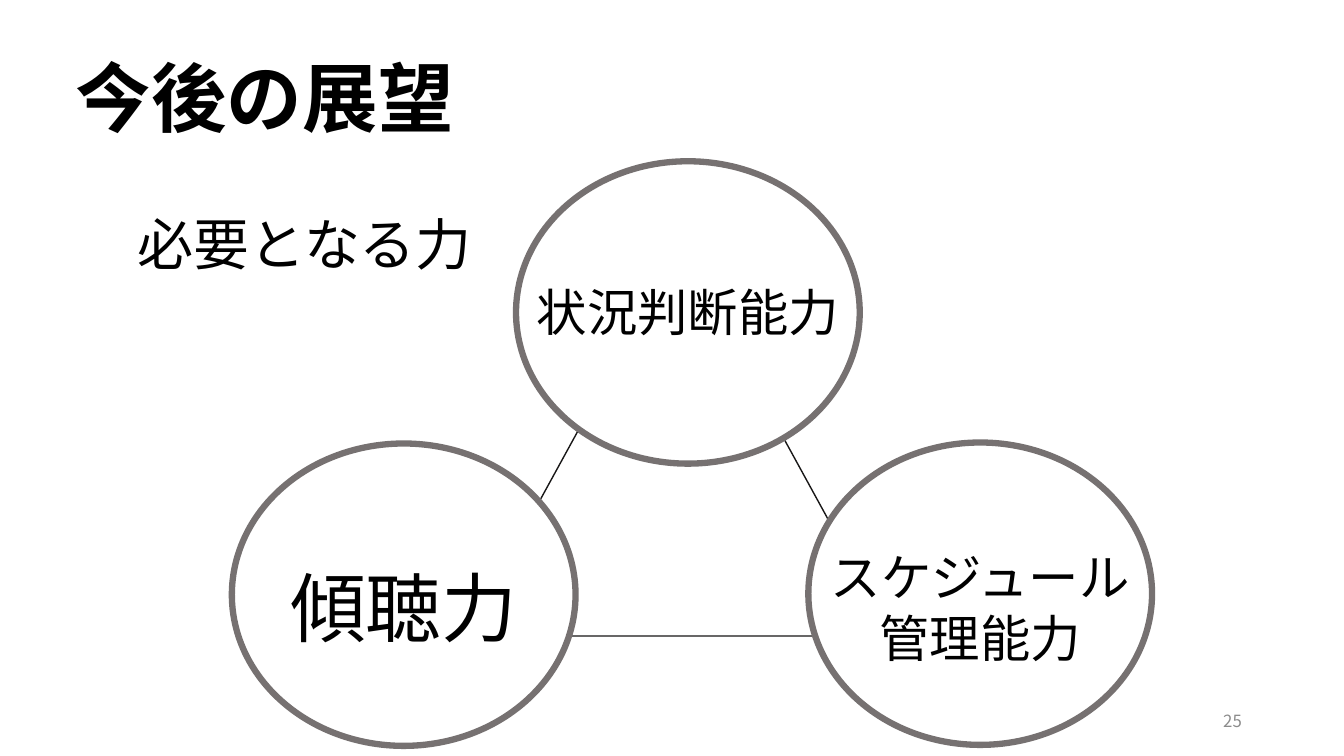
from lxml.etree import SubElement
from pptx import Presentation
from pptx.dml.color import RGBColor
from pptx.enum.shapes import MSO_SHAPE
from pptx.enum.text import MSO_ANCHOR, MSO_AUTO_SIZE, PP_ALIGN
from pptx.oxml.ns import qn
from pptx.util import Pt

FONT = "Noto Sans CJK JP"
BLACK = RGBColor(0x00, 0x00, 0x00)
WHITE = RGBColor(0xFF, 0xFF, 0xFF)
INK = RGBColor(0x18, 0x17, 0x17)
RING = RGBColor(0x76, 0x71, 0x71)
GRAY = RGBColor(0x8C, 0x8C, 0x8C)
CIRCLE_WIDTH, CIRCLE_HEIGHT = 245.5, 216
LABEL_INSET = 6.5

SKILLS = [
    {"left": 0, "top": 201.6, "lines": ["傾聴力"], "size": 54, "drop": 80.6, "height": 72.7},
    {"left": 411.8, "top": 200.9, "lines": ["スケジュール", "管理能力"], "size": 36,
     "drop": 70.6, "height": 94.3},
    {"left": 203, "top": 0, "lines": ["状況判断能力"], "size": 36, "drop": 82.1, "height": 51.1},
]


def add_outline(page, kind, box, color, weight):
    """Draw a white preset shape with a coloured outline."""
    shape = page.shapes.add_shape(kind, *map(Pt, box))
    shape.shadow.inherit = False
    shape.fill.solid()
    shape.fill.fore_color.rgb = WHITE
    shape.line.color.rgb = color
    shape.line.width = Pt(weight)


def add_text(page, box, lines, size, color=BLACK, bold=False, align=PP_ALIGN.CENTER, **frame_format):
    """Write one paragraph per line in a text box."""
    frame = page.shapes.add_textbox(*map(Pt, box)).text_frame
    settings = {"word_wrap": False, "auto_size": MSO_AUTO_SIZE.SHAPE_TO_FIT_TEXT, **frame_format}
    for name, value in settings.items():
        setattr(frame, name, value)
    frame.text = "\n".join(lines)
    for para in frame.paragraphs:
        para.alignment = align
        for span in para.runs:
            for name, value in {"name": FONT, "size": Pt(size), "bold": bold}.items():
                setattr(span.font, name, value)
            span.font.color.rgb = color
            properties = span.font._element if hasattr(span.font, "_element") else span._r.get_or_add_rPr()
            SubElement(properties, qn("a:ea")).set("typeface", FONT)


def add_headings(page, left, top):
    """Place the title and the lead phrase below it."""
    add_text(page, (left, top, 287.3, 72.7), ["今後の展望"], 54, bold=True)
    add_text(page, (left + 43.9, top + 113.1, 257, 55.4), ["必要となる力"], 40)


def add_skill_triangle(page, left, top):
    """Place three labelled skill circles over a linking triangle."""
    triangle = (left + 167, top + 61.2, 304.6, 277.9)
    add_outline(page, MSO_SHAPE.ISOSCELES_TRIANGLE, triangle, INK, 1)
    for skill in SKILLS:
        box = (left + skill["left"], top + skill["top"], CIRCLE_WIDTH, CIRCLE_HEIGHT)
        add_outline(page, MSO_SHAPE.OVAL, box, RING, 4.5)
    for skill in SKILLS:
        label = (left + skill["left"] + LABEL_INSET, top + skill["top"] + skill["drop"],
                 CIRCLE_WIDTH - 2 * LABEL_INSET, skill["height"])
        add_text(page, label, skill["lines"], skill["size"])


def add_page_number(page, box):
    """Write the page number at the right of its box."""
    add_text(page, box, ["25"], 12, GRAY, align=PP_ALIGN.RIGHT, word_wrap=True,
             auto_size=MSO_AUTO_SIZE.NONE, vertical_anchor=MSO_ANCHOR.MIDDLE)


def main():
    """Build the slide and save it."""
    deck = Presentation()
    deck.slide_width, deck.slide_height = Pt(960), Pt(540)
    page = deck.slides.add_slide(deck.slide_layouts[6])
    add_skill_triangle(page, 165.6, 115.2)
    add_headings(page, 45.4, 33.1)
    add_page_number(page, (678.2, 500.4, 216, 28.8))
    deck.save("out.pptx")


if __name__ == "__main__":
    main()
